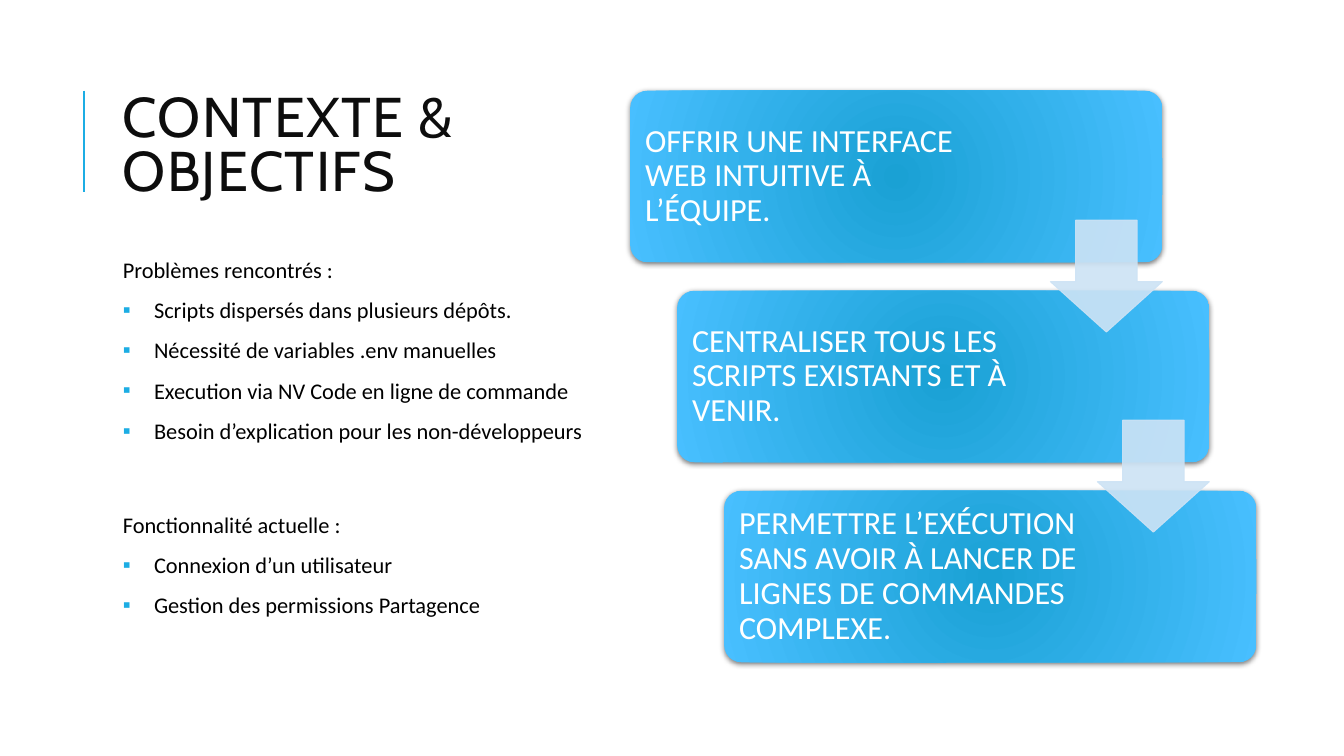
from lxml import etree
from pptx import Presentation
from pptx.dml.color import RGBColor as Rgb
from pptx.enum.shapes import MSO_CONNECTOR as Conn, MSO_SHAPE as Kind
from pptx.enum.text import MSO_ANCHOR as Anchor, PP_ALIGN as Align
from pptx.oxml import parse_xml
from pptx.oxml.ns import nsdecls, qn
from pptx.util import Inches, Pt

WIDE, HIGH = 13.33, 7.5
HUES = {"accent": "1CADE4", "title": "0D0D0D", "body": "000000", "white": "FFFFFF",
        "core": "1AA1D4", "edge": "48BFFF", "arrow": "CDE3F5"}

ISSUES = ("Problèmes rencontrés :", [
    "Scripts dispersés dans plusieurs dépôts.",
    "Nécessité de variables .env manuelles",
    "Execution via NV Code en ligne de commande",
    "Besoin d’explication pour les non-développeurs"])
TODAY = ("Fonctionnalité actuelle :", [
    "Connexion d’un utilisateur",
    "Gestion des permissions Partagence"])
# Goal and width of its text, as a share of the card
GOALS = [("OFFRIR UNE INTERFACE WEB INTUITIVE À L’ÉQUIPE.", 0.65),
         ("CENTRALISER TOUS LES SCRIPTS EXISTANTS ET À VENIR.", 0.685),
         ("PERMETTRE L’EXÉCUTION SANS AVOIR À LANCER DE LIGNES DE COMMANDES COMPLEXE.", 0.685)]


def hue(name):
    return Rgb.from_string(HUES[name])


def place(box):
    return [Inches(v) for v in box]


def style(para, size, face, color, lead):
    para.alignment = Align.LEFT
    para.line_spacing = lead
    for run in para.runs:
        run.font.size, run.font.name = Pt(size), face
        run.font.color.rgb = hue(color)


def add_text(slide, box, lines, size, face, color, lead, anchor=Anchor.TOP):
    frame = slide.shapes.add_textbox(*place(box)).text_frame
    frame.word_wrap = True
    frame.vertical_anchor = anchor
    frame.text = "\n".join(lines)
    for para in frame.paragraphs:
        style(para, size, face, color, lead)
    return frame


def add_title(slide, box):
    x, y, w, h = box
    # Accent rule left of the title
    rule = slide.shapes.add_connector(
        Conn.STRAIGHT, *place((x - 0.29, y + 0.2 * h, x - 0.29, y + 0.73 * h)))
    rule.line.color.rgb, rule.line.width = hue("accent"), Pt(1.5)
    etree.SubElement(rule._element.spPr, qn("a:effectLst"))
    frame = add_text(slide, box, ["CONTEXTE & OBJECTIFS"], 40, "Cabin", "title",
                     0.8, Anchor.MIDDLE)
    frame.paragraphs[0].runs[0].font._element.set("spc", "100")


def add_list(slide, box, head, items):
    frame = add_text(slide, box, [head, *items], 16, "Calibri", "body", 1.08)
    for i, para in enumerate(frame.paragraphs):
        para.space_before, para.space_after = Pt(6), Pt(2)
        if i:
            props = para._p.get_or_add_pPr()
            props.set("marL", str(Inches(0.31)))
            props.set("indent", str(-Inches(0.31)))
            color = etree.SubElement(props, qn("a:buClr"))
            etree.SubElement(color, qn("a:srgbClr"), val=HUES["accent"])
            etree.SubElement(props, qn("a:buFont"), typeface="Arial")
            etree.SubElement(props, qn("a:buChar"), char="▪")


def add_card(slide, box, goal, share):
    x, y, w, h = box
    card = slide.shapes.add_shape(Kind.ROUNDED_RECTANGLE, *place(box))
    card.adjustments[0] = 0.1
    card.line.fill.background()
    # Radial fill and soft shadow
    card._element.spPr.find(qn("a:ln")).addprevious(parse_xml(
        f'<a:gradFill {nsdecls("a")} rotWithShape="1"><a:gsLst>'
        f'<a:gs pos="0"><a:srgbClr val="{HUES["core"]}"/></a:gs>'
        f'<a:gs pos="100000"><a:srgbClr val="{HUES["edge"]}"/></a:gs></a:gsLst>'
        '<a:path path="circle"><a:fillToRect l="100000" t="100000" r="100000" '
        'b="100000"/></a:path></a:gradFill>'))
    card._element.spPr.append(parse_xml(
        f'<a:effectLst {nsdecls("a")}><a:outerShdw blurRad="{Pt(4)}" dist="{Pt(1)}" '
        'dir="5400000" rotWithShape="0"><a:srgbClr val="000000">'
        '<a:alpha val="50000"/></a:srgbClr></a:outerShdw></a:effectLst>'))
    # Goal text
    frame = add_text(slide, (x + 0.05, y + 0.05, w * share, h - 0.1), [goal],
                     23, "Calibri", "white", 0.9, Anchor.MIDDLE)
    frame.margin_top = frame.margin_bottom = Inches(0.1)


def add_arrow(slide, box):
    arrow = slide.shapes.add_shape(Kind.DOWN_ARROW, *place(box))
    arrow.shadow.inherit = False
    arrow.adjustments[0], arrow.adjustments[1] = 0.55, 0.45
    arrow.fill.solid()
    arrow.fill.fore_color.rgb = arrow.line.color.rgb = hue("arrow")
    arrow.line.width = Pt(0.75)
    for color in arrow._element.spPr.iter(qn("a:srgbClr")):
        etree.SubElement(color, qn("a:alpha"), val="90000")


def add_steps(slide, box):
    x, y, w, h = box
    wide, high, side = 0.85 * w, 0.3 * h, 1.11
    across, down = (w - wide) / 2, (h - high) / 2
    spots = [(x + i * across, y + i * down) for i in range(len(GOALS))]
    for (left, top), (goal, share) in zip(spots, GOALS):
        add_card(slide, (left, top, wide, high), goal, share)
    # Arrows end flush with the right side of the card above
    for left, top in spots[:-1]:
        add_arrow(slide, (left + wide - side, top + 0.755 * high, side, side))


def main():
    deck = Presentation()
    deck.slide_width, deck.slide_height = Inches(WIDE), Inches(HIGH)
    slide = deck.slides.add_slide(deck.slide_layouts[6])
    left, wide = 0.084 * WIDE, 0.36 * WIDE
    add_title(slide, (left, 0.52, wide, 1.9))
    add_list(slide, (left, 2.47, wide, 2.16), *ISSUES)
    add_steps(slide, (6.25, 0.12 * HIGH, 6.21, 5.67))
    add_list(slide, (left, 5, wide, 1.23), *TODAY)
    deck.save("out.pptx")


if __name__ == "__main__":
    main()
